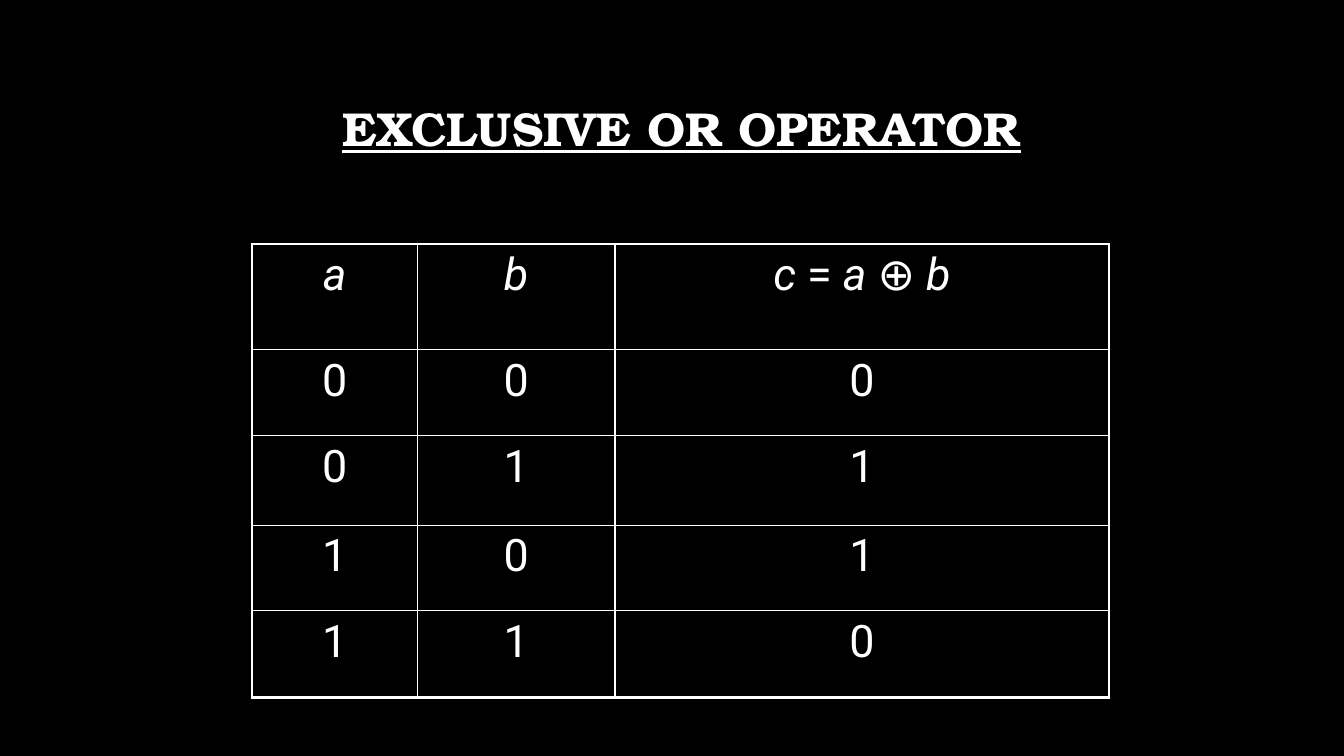
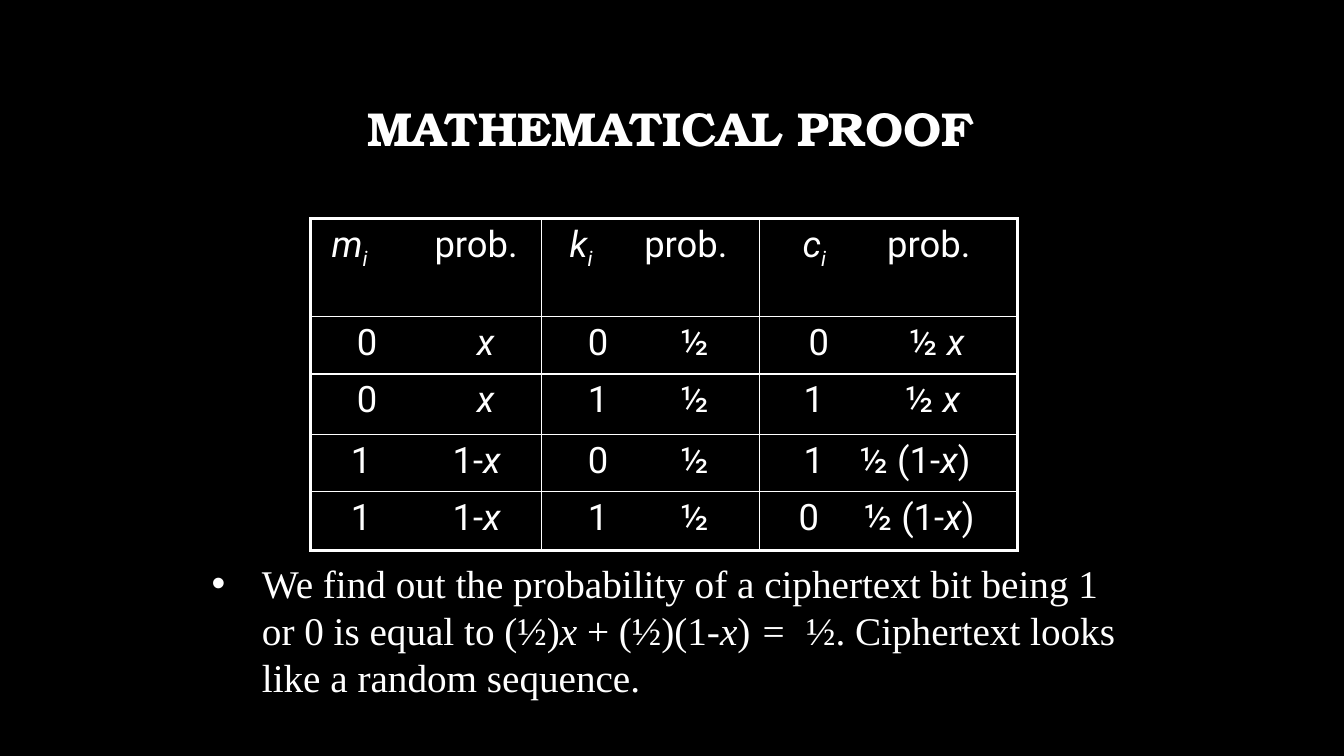
from dataclasses import dataclass

from lxml import etree
from pptx import Presentation
from pptx.dml.color import RGBColor
from pptx.enum.text import MSO_ANCHOR, PP_ALIGN
from pptx.oxml.ns import qn
from pptx.util import Inches, Pt

CENTER, LEFT = PP_ALIGN.CENTER, PP_ALIGN.LEFT
MIDDLE = MSO_ANCHOR.MIDDLE
BLANK = 6


@dataclass(frozen=True)
class Theme:
    ink: str = "FFFFFF"
    ground: str = "000000"
    title_font: str = "TeX Gyre Bonum"
    table_font: str = "Roboto"
    body_font: str = "Times New Roman"
    title_size: int = 34
    truth_size: int = 32
    proof_size: int = 26
    body_size: int = 28
    outer_rule: float = 2.25
    inner_rule: float = 1


THEME = Theme()


def add_runs(p, runs, font, size, bold=False, underline=False):
    for text, style in runs:
        r = p.add_run()
        r.text = text
        r.font.name = font
        r.font.size = Pt(size)
        r.font.bold = bold
        r.font.underline = underline
        r.font.italic = style in ("italic", "sub")
        r.font.color.rgb = RGBColor.from_string(THEME.ink)
        if style == "sub":
            r.font._element.set("baseline", "-25000")


def set_tabs(p, stops):
    tabs = etree.SubElement(p._p.get_or_add_pPr(), qn("a:tabLst"))
    for stop in stops:
        etree.SubElement(tabs, qn("a:tab"), pos=str(Inches(stop)), algn="l")


def set_bullet(p, indent):
    props = p._p.get_or_add_pPr()
    props.set("marL", str(Inches(indent)))
    props.set("indent", str(-Inches(indent)))
    etree.SubElement(props, qn("a:buFont"), typeface="Arial")
    etree.SubElement(props, qn("a:buChar"), char="•")


def set_borders(cell, widths):
    props = cell._tc.get_or_add_tcPr()
    for index, side in enumerate("LRTB"):
        ln = etree.Element(qn(f"a:ln{side}"), w=str(Pt(widths[side])))
        fill = etree.SubElement(ln, qn("a:solidFill"))
        etree.SubElement(fill, qn("a:srgbClr"), val=THEME.ink)
        props.insert(index, ln)


def add_box(s, box):
    tf = s.shapes.add_textbox(*map(Inches, box)).text_frame
    tf.word_wrap = True
    return tf


def add_title(s, box, text, underline=False):
    tf = add_box(s, box)
    tf.vertical_anchor = MIDDLE
    p = tf.paragraphs[0]
    p.alignment = CENTER
    p.line_spacing = 0.9
    add_runs(p, [(text, "")], THEME.title_font, THEME.title_size, True, underline)


def add_grid(s, left, top, widths, heights, rows, size):
    frame = s.shapes.add_table(len(heights), len(widths), Inches(left), Inches(top),
                               Inches(sum(widths)), Inches(sum(heights)))
    table = frame.table
    table.first_row = table.horz_banding = False
    for column, width in zip(table.columns, widths):
        column.width = Inches(width)
    for row, height in zip(table.rows, heights):
        row.height = Inches(height)
    last_row, last_col = len(heights) - 1, len(widths) - 1
    for i, row in enumerate(rows):
        for j, (runs, stops) in enumerate(row):
            cell = table.cell(i, j)
            cell.fill.solid()
            cell.fill.fore_color.rgb = RGBColor.from_string(THEME.ground)
            edges = {"L": j == 0, "R": j == last_col, "T": i == 0, "B": i == last_row}
            set_borders(cell, {side: THEME.outer_rule if outer else THEME.inner_rule
                               for side, outer in edges.items()})
            p = cell.text_frame.paragraphs[0]
            p.alignment = LEFT if stops else CENTER
            if stops:
                set_tabs(p, stops)
            add_runs(p, runs, THEME.table_font, size)


def add_bullet(s, box, runs):
    p = add_box(s, box).paragraphs[0]
    set_bullet(p, 0.5)
    add_runs(p, runs, THEME.body_font, THEME.body_size)


def new_slide(prs):
    s = prs.slides.add_slide(prs.slide_layouts[BLANK])
    s.background.fill.solid()
    s.background.fill.fore_color.rgb = RGBColor.from_string(THEME.ground)
    return s


def plain(text):
    return [(text, "")], None


def pair(first, second, *stops):
    return [("\t" + first, ""), ("\t", "")] + second, stops


def heading(symbol, *stops):
    return [("\t" + symbol, "italic"), ("i", "sub"), ("\tprob.", "")], stops


def operator_slide(prs):
    s = new_slide(prs)
    add_title(s, (2.5, 0.68, 8.52, 1.25), "EXCLUSIVE OR OPERATOR", underline=True)
    formula = [("c ", "italic"), ("= ", ""), ("a ", "italic"), ("⊕", ""), (" b", "italic")]
    header = [([("a", "italic")], None), ([("b", "italic")], None), (formula, None)]
    truth = [[plain(str(v)) for v in (a, b, a ^ b)] for a in (0, 1) for b in (0, 1)]
    add_grid(s, 2.5, 2.42, (1.64, 1.96, 4.9), (1.05, 0.85, 0.89, 0.85, 0.86),
             [header] + truth, THEME.truth_size)


def proof_slide(prs):
    s = new_slide(prs)
    add_title(s, (2.39, 0.68, 8.52, 1.25), "MATHEMATICAL PROOF")
    x = ("x", "italic")
    half = [("½", "")]
    half_x = [("½ ", ""), x]
    half_rest = [("½ (1-", ""), x, (")", "")]
    message_0 = pair("0", [x], 0.36, 1.55)
    message_1 = pair("1", [("1-", ""), x], 0.3, 1.31)
    key_0, key_1 = (pair(bit, half, 0.36, 1.28) for bit in "01")
    rows = [
        [heading("m", 0.11, 1.13), heading("k", 0.18, 0.92), heading("c", 0.33, 1.17)],
        [message_0, key_0, pair("0", half_x, 0.39, 1.39)],
        [message_0, key_1, pair("1", half_x, 0.34, 1.35)],
        [message_1, key_0, pair("1", half_rest, 0.34, 0.9)],
        [message_1, key_1, pair("0", half_rest, 0.29, 0.94)],
    ]
    add_grid(s, 3.08, 2.17, (2.29, 2.16, 2.56), (0.97, 0.57, 0.6, 0.57, 0.58),
             rows, THEME.proof_size)
    add_bullet(s, (2, 5.5, 9.33, 1.5), [
        ("We find out the probability of a ciphertext bit being 1 or 0 is equal to (½)", ""),
        ("x ", "italic"), ("+ (½)(1-", ""), x, (")", ""), (" = ", "italic"),
        (" ½. Ciphertext looks like a random sequence.", ""),
    ])


def main():
    prs = Presentation()
    prs.slide_width, prs.slide_height = Inches(13.33), Inches(7.5)
    operator_slide(prs)
    proof_slide(prs)
    prs.save("out.pptx")


if __name__ == "__main__":
    main()
